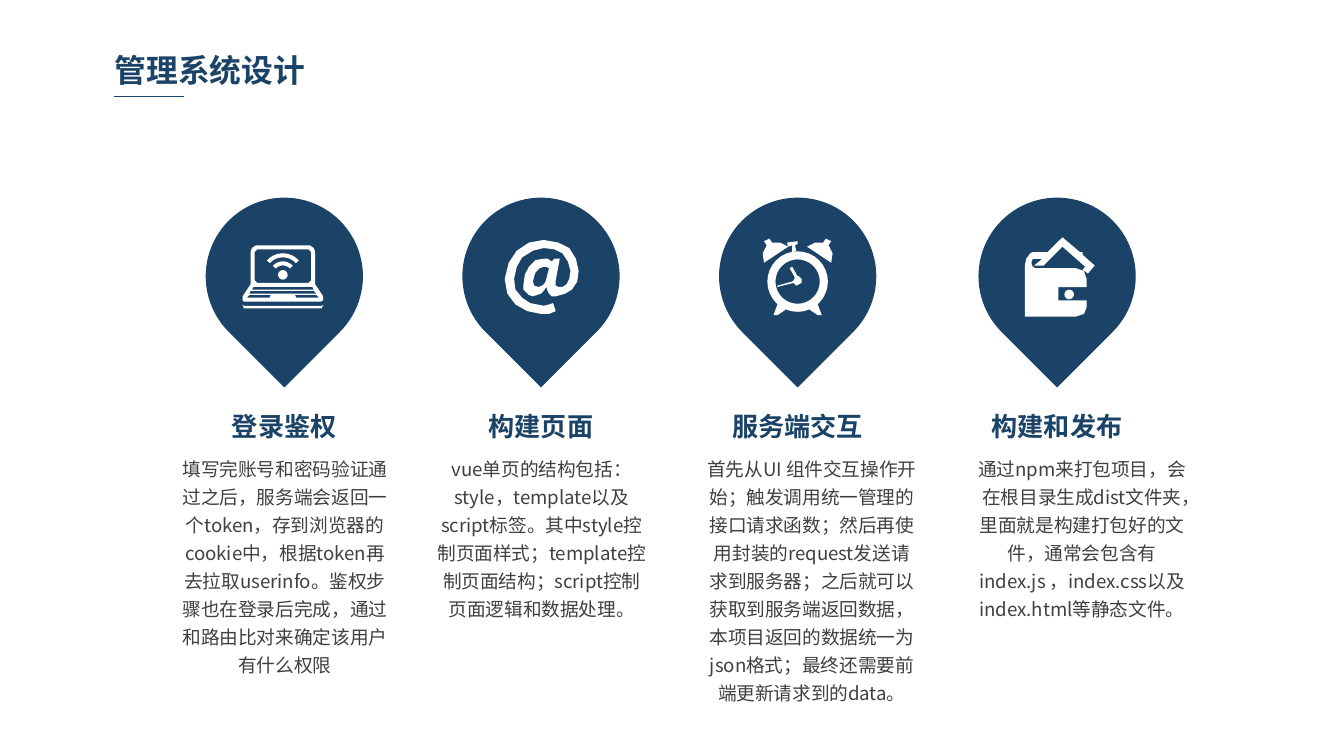
from math import cos, radians, sin

from lxml.etree import SubElement
from pptx import Presentation
from pptx.dml.color import RGBColor
from pptx.enum.shapes import MSO_CONNECTOR, MSO_SHAPE
from pptx.enum.text import MSO_ANCHOR, MSO_AUTO_SIZE, PP_ALIGN
from pptx.oxml.ns import qn
from pptx.util import Pt

FONT = "Noto Sans CJK SC"
NAVY, WHITE, GRAY = "1B4367", "FFFFFF", "404040"
PIN_SIZE, PIN_Y = 84.24, 148
ICON_UNIT = 0.72  # points per step of the icon grid


def color(hex_value):
    return RGBColor.from_string(hex_value)


def paint(shape, fill):
    shape.shadow.inherit = False
    shape.fill.solid()
    shape.fill.fore_color.rgb = color(fill)
    shape.line.fill.background()


def write(shape, text, *, size, ink, bold=False, align=PP_ALIGN.CENTER,
          wrap=True, spacing=None):
    frame = shape.text_frame
    frame.word_wrap = wrap
    frame.auto_size = MSO_AUTO_SIZE.NONE
    frame.vertical_anchor = MSO_ANCHOR.TOP
    frame.margin_left = frame.margin_right = Pt(5.1)
    frame.margin_top = frame.margin_bottom = Pt(2.6)
    paragraph = frame.paragraphs[0]
    paragraph.alignment = align
    if spacing:
        paragraph.line_spacing = Pt(spacing)
    run = paragraph.add_run()
    run.text = text
    run.font.size = Pt(size)
    run.font.bold = bold
    run.font.color.rgb = color(ink)
    run.font.name = FONT
    SubElement(run.font._element, qn("a:ea"), typeface=FONT)


def add_text(slide, text, center, top, width, height, **style):
    box = slide.shapes.add_textbox(Pt(center - width / 2), Pt(top), Pt(width), Pt(height))
    write(box, text, **style)


# Outlines on the icon grid, measured from the centre of the pin
def arc(x, y, radius, start=0, end=360):
    steps = 32
    angles = [radians(start + (end - start) * i / steps) for i in range(steps + 1)]
    return [(x + radius * cos(a), y + radius * sin(a)) for a in angles]


def wave(x, y, outer, inner):
    return arc(x, y, outer, 222, 318) + arc(x, y, inner, 318, 222)


def mirror(outline):
    return [(-x, y) for x, y in outline]


def laptop():
    return [
        # Case with its screen opening
        [(-25, 6), (-25, -18), (-24, -21), (-21, -23), (19, -23), (22, -21), (23, -18),
         (23, 6), (29, 15), (29, 18), (27, 19), (-30, 19), (-31, 18), (-31, 15)],
        [(-22, -18), (-20, -20), (18, -20), (20, -18), (20, 3), (18, 5), (-20, 5), (-22, 3)],
        # Keyboard rows
        [(-23, 8), (21, 8), (22, 10), (-24, 10)],
        [(-25, 11), (22, 11), (24, 13), (-26, 13)],
        [(-28, 16), (-26, 14), (-10, 14), (-11, 16)],
        [(9, 16), (8, 14), (24, 14), (26, 16)],
        # Base and wireless signal
        [(-31, 21), (-30, 22), (28, 22), (29, 21), (28, 24), (-30, 24)],
        arc(-1, -1, 3.5), wave(-1, -1, 10, 7), wave(-1, -1, 16, 13),
    ]


def at_sign():
    return [
        [(10, -13), (14, -13), (11, 3), (11, 7), (13, 8), (16, 8), (19, 6), (21, 2),
         (22, -4), (20, -11), (16, -17), (10, -20), (2, -21), (-6, -19), (-14, -14),
         (-18, -7), (-20, 2), (-19, 10), (-14, 16), (-8, 20), (2, 22), (6, 21), (9, 20),
         (11, 26), (6, 28), (0, 28), (-10, 26), (-19, 21), (-25, 13), (-27, 2),
         (-24, -10), (-18, -19), (-9, -25), (2, -27), (13, -25), (21, -21), (26, -13),
         (28, -4), (27, 4), (23, 10), (18, 13), (11, 15), (8, 15), (6, 13), (5, 11),
         (4, 8), (2, 11), (0, 13), (-3, 14), (-6, 15), (-9, 14), (-11, 12), (-13, 10),
         (-13, 6), (-12, -1), (-9, -7), (-4, -12), (2, -13), (5, -13), (8, -11)],
        [(6, -6), (4, -7), (2, -7), (-1, -6), (-4, -3), (-5, 0), (-6, 4), (-5, 7),
         (-2, 8), (1, 7), (3, 5), (4, 2)],
    ]


def alarm_clock():
    bell = [(19, -25), (13, -25), (7, -22), (25, -10), (26, -17), (23, -23),
            (25, -26), (21, -28)]
    foot = [(15, 21), (18, 29), (15, 29), (9, 25)]
    stem = [(-4, -18), (-4, -23), (-7, -22), (-8, -25), (0, -26), (0, -24),
            (-2, -23), (-1, -19)]
    hands = [(-3, 3), (-4, 4), (-15, 7), (-15, 8), (-3, 5), (-1, 7), (3, 5), (3, 2),
             (1, 0), (0, 0), (-4, -7), (-6, -6), (-2, 1)]
    return [arc(0, 4, 22.5), arc(0, 4, 16.5), bell, mirror(bell), foot, mirror(foot),
            stem, hands]


def wallet():
    return [
        [(-16, -6), (14, -6), (20, -4), (22, 2), (22, 8), (1, 8), (1, 18), (22, 18),
         (22, 23), (20, 28), (14, 30), (-24, 30), (-24, -8), (-23, -13), (-20, -17),
         (-18, -18), (-7, -18), (4, -29), (17, -18), (19, -18), (19, -16), (28, -8),
         (23, -2), (19, -5), (21, -7), (4, -22), (-10, -8), (-17, -8), (-11, -13),
         (-18, -13), (-19, -11), (-19, -9), (-18, -7)],
        arc(9, 13.5, 3.5),
    ]


def add_icon(slide, outlines, center):
    scaled = [[(Pt(x * ICON_UNIT), Pt(y * ICON_UNIT)) for x, y in outline]
              for outline in outlines]
    builder = slide.shapes.build_freeform(*scaled[0][0])
    for outline in scaled:
        if outline is not scaled[0]:
            builder.move_to(*outline[0])
        builder.add_line_segments(outline[1:], close=True)
    paint(builder.convert_to_shape(Pt(center), Pt(PIN_Y)), WHITE)


def add_pin(slide, center):
    pin = slide.shapes.add_shape(
        MSO_SHAPE.TEAR, Pt(center - PIN_SIZE / 2), Pt(PIN_Y - PIN_SIZE / 2),
        Pt(PIN_SIZE), Pt(PIN_SIZE))
    pin.rotation = 135
    paint(pin, NAVY)


def add_title(slide, text):
    title = slide.shapes.title
    title.left, title.top, title.width, title.height = Pt(56.2), Pt(24.5), Pt(178), Pt(26)
    write(title, text, size=17, ink=NAVY, bold=True, align=PP_ALIGN.LEFT)
    underline = slide.shapes.add_connector(
        MSO_CONNECTOR.STRAIGHT, Pt(61.2), Pt(51.8), Pt(98.6), Pt(51.8))
    underline.line.color.rgb = color(NAVY)
    underline.line.width = Pt(0.75)
    SubElement(underline._element.spPr, qn("a:effectLst"))


# Pin centre, description centre, icon, heading, description
STEPS = [
    (152.3, 152.6, laptop, "登录鉴权",
     "填写完账号和密码验证通过之后，服务端会返回一个token，存到浏览器的cookie中，"
     "根据token再去拉取userinfo。鉴权步骤也在登录后完成，通过和路由比对来确定该用户有什么权限"),
    (289.8, 290.2, at_sign, "构建页面",
     "vue单页的结构包括：style，template以及script标签。其中style控制页面样式；"
     "template控制页面结构；script控制页面逻辑和数据处理。"),
    (427.3, 434.9, alarm_clock, "服务端交互",
     "首先从UI 组件交互操作开始；触发调用统一管理的接口请求函数；然后再使用封装的request"
     "发送请求到服务器；之后就可以获取到服务端返回数据，本项目返回的数据统一为json格式；"
     "最终还需要前端更新请求到的data。"),
    (566.3, 579.6, wallet, "构建和发布",
     "通过npm来打包项目，会在根目录生成dist文件夹，里面就是构建打包好的文件，"
     "通常会包含有index.js ，index.css以及index.html等静态文件。"),
]


def main():
    deck = Presentation()
    deck.slide_width, deck.slide_height = Pt(720), Pt(405)
    slide = deck.slides.add_slide(deck.slide_layouts[5])
    add_title(slide, "管理系统设计")
    for center, description_center, icon, heading, description in STEPS:
        add_pin(slide, center)
        add_icon(slide, icon(), center)
        add_text(slide, heading, center, 217.4, 14 * len(heading) + 11, 22.5,
                 size=14, ink=NAVY, bold=True, wrap=False)
        add_text(slide, description, description_center, 239.8, 123.8, 130,
                 size=10, ink=GRAY, spacing=15)
    deck.save("out.pptx")


if __name__ == "__main__":
    main()
